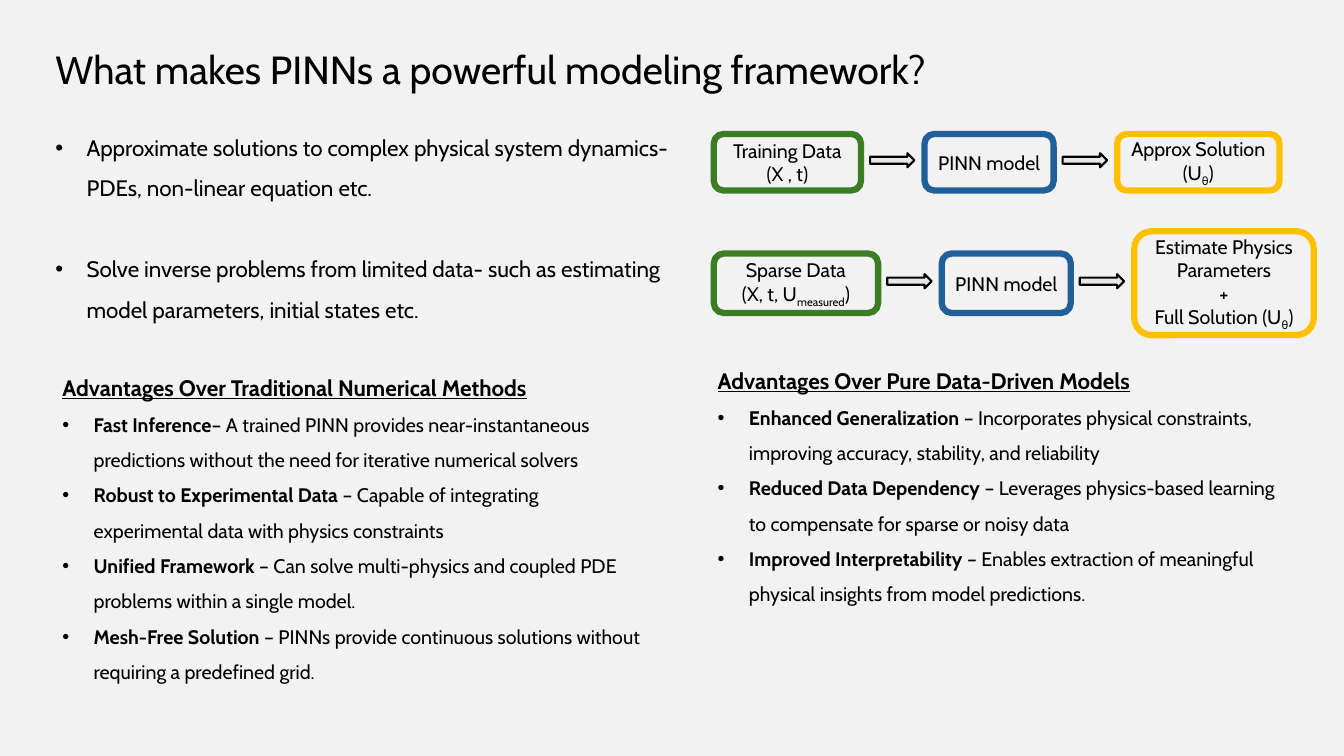
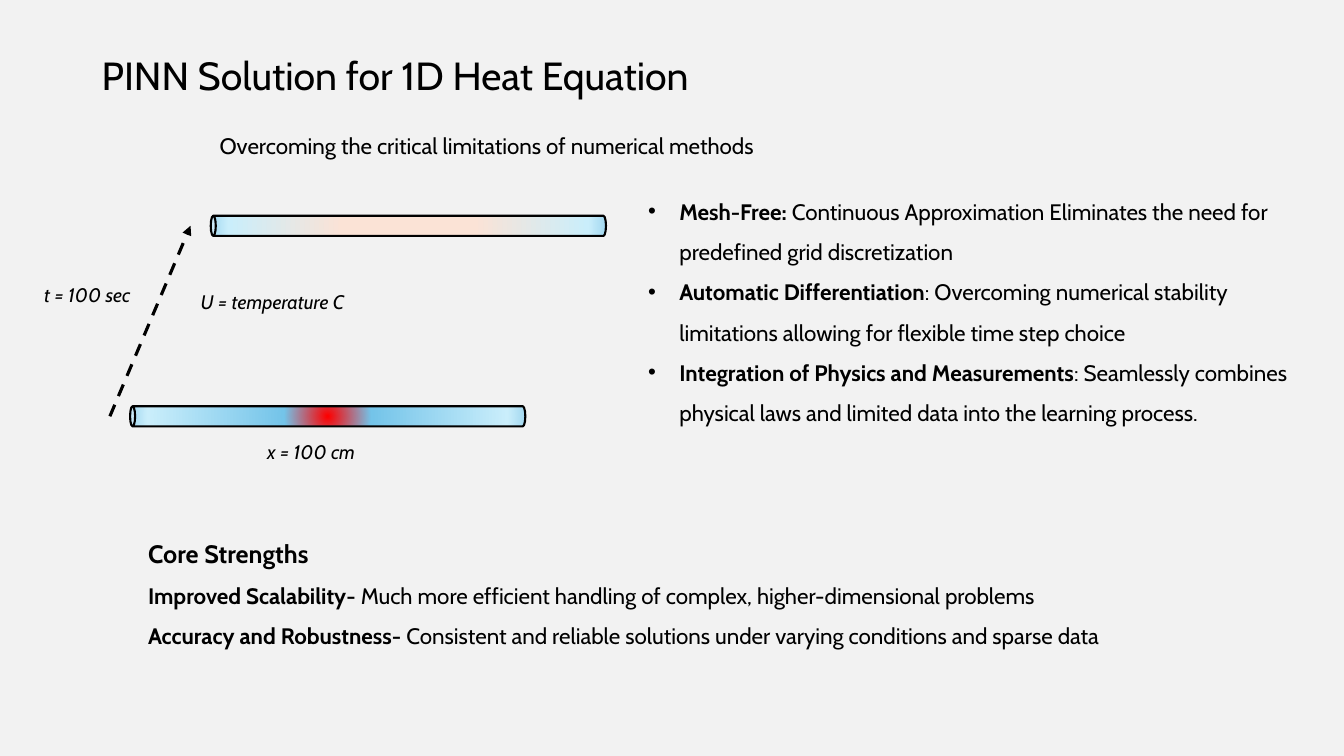
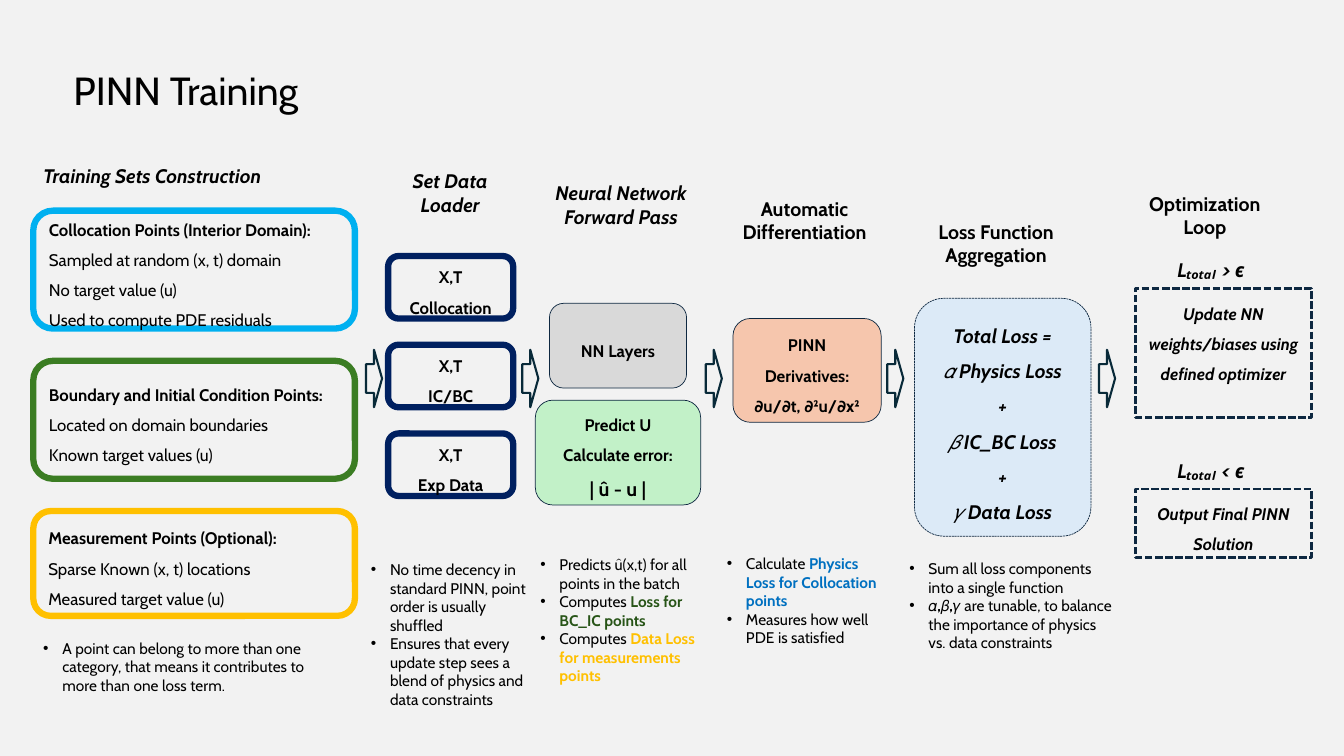
import pptx
import pptx.util
import pptx.dml.color
import pptx.enum.dml
import pptx.enum.shapes
import pptx.enum.text
import pptx.oxml
import pptx.oxml.ns
from lxml import etree

Inches = pptx.util.Inches
Pt = pptx.util.Pt
qn = pptx.oxml.ns.qn
SHAPES = pptx.enum.shapes.MSO_SHAPE
DASHES = pptx.enum.dml.MSO_LINE
ANCHORS = pptx.enum.text.MSO_ANCHOR
ALIGNS = {"l": pptx.enum.text.PP_ALIGN.LEFT, "c": pptx.enum.text.PP_ALIGN.CENTER}

# Shared look
FONT = "Cabin"
BACKGROUND, INK = "F2F2F2", "000000"
GREEN, BLUE, AMBER, NAVY = "3B7D23", "215F9A", "FFC000", "002060"
CYAN, OUTLINE = "00B0F0", "0E2841"
BOLD = {"bold": True}
BOLD_ITALIC = {"bold": True, "italic": True}
SUBSCRIPT = {"baseline": -25000}


def rgb(value):
    return pptx.dml.color.RGBColor.from_string(value)


# Text
def add_run(paragraph, text, color=INK, baseline=0, **font):
    run = paragraph.add_run()
    run.text = text
    for key, value in {"name": FONT, **font}.items():
        setattr(run.font, key, value)
    run.font.color.rgb = rgb(color)
    if baseline:
        run.font._element.set("baseline", str(baseline))


def write(frame, paragraphs, size, align="l", spacing=1.0, indent=0, gap=0, **font):
    """Append paragraphs; each is a string or a list of strings and (text, format) pairs."""
    for content in paragraphs:
        first = not frame.paragraphs[0].runs
        paragraph = frame.paragraphs[0] if first else frame.add_paragraph()
        layout = {"alignment": ALIGNS[align], "line_spacing": spacing,
                  "space_before": Pt(0 if first else gap)}
        for key, value in layout.items():
            setattr(paragraph, key, value)
        if indent:
            props = paragraph._p.get_or_add_pPr()
            props.set("marL", str(Inches(indent)))
            props.set("indent", str(-Inches(indent)))
            etree.SubElement(props, qn("a:buFont")).set("typeface", "Arial")
            etree.SubElement(props, qn("a:buChar")).set("char", "•")
        for part in [content] if isinstance(content, str) else content:
            text, extra = (part, {}) if isinstance(part, str) else part
            add_run(paragraph, text, **{"size": Pt(size), **font, **extra})


def text_box(slide, left, top, width, height, paragraphs, size, **style):
    frame = slide.shapes.add_textbox(*map(Inches, (left, top, width, height))).text_frame
    frame.word_wrap = True
    write(frame, paragraphs, size, **style)
    return frame


def title(slide, left, top, text):
    text_box(slide, left, top, 9.1, 0.57, [text], 28)


def lead(term, rest):
    return [(term, BOLD), rest]


# Shapes
def shape(slide, kind, left, top, width, height, line, weight, fill=None, dash=None):
    item = slide.shapes.add_shape(kind, *map(Inches, (left, top, width, height)))
    item.shadow.inherit = False
    if fill:
        item.fill.solid()
        item.fill.fore_color.rgb = rgb(fill)
    else:
        item.fill.background()
    item.line.color.rgb = rgb(line)
    item.line.width = Pt(weight)
    if dash:
        item.line.dash_style = dash
    return item


def card(slide, left, top, width, height, paragraphs, size=12, line=OUTLINE, weight=4.5,
         fill=None, dash=None, kind=SHAPES.ROUNDED_RECTANGLE, anchor=ANCHORS.MIDDLE, **style):
    frame = shape(slide, kind, left, top, width, height, line, weight, fill, dash).text_frame
    frame.word_wrap = True
    frame.vertical_anchor = anchor
    write(frame, paragraphs, size, **style)


# Slide 1: framework
def model_flow(slide, left, middle, steps):
    """A row of boxes centred on one height, joined by block arrows."""
    gap, arrow_width, arrow_height = 0.63, 0.44, 0.14
    for index, (width, height, color, label) in enumerate(steps):
        if index:
            shape(slide, SHAPES.RIGHT_ARROW, left - gap + 0.09, middle - 0.09,
                  arrow_width, arrow_height, INK, 1.5, "E8E8E8")
        card(slide, left, middle - height / 2, width, height, label, 14, color, align="c")
        left += width + gap


def advantages(slide, left, top, width, heading, points):
    frame = text_box(slide, left, top, width, 3.3, [heading], 16, spacing=1.5,
                     bold=True, underline=True)
    write(frame, points, 14, spacing=1.5, indent=0.31)


def framework_slide(slide):
    title(slide, 0.45, 0.4, "What makes PINNs a powerful modeling framework?")
    text_box(slide, 0.45, 1.15, 6.72, 2.08, [
        "Approximate solutions to complex physical system dynamics- PDEs, "
        "non-linear equation etc.",
        "Solve inverse problems from limited data- such as estimating model parameters, "
        "initial states etc.",
    ], 16, spacing=1.5, indent=0.31, gap=29)
    theta = [("θ", SUBSCRIPT), ")"]
    model_flow(slide, 7.08, 1.61, [
        (1.46, 0.56, GREEN, ["Training Data", "(X , t)"]),
        (1.28, 0.56, BLUE, ["PINN model"]),
        (1.61, 0.56, AMBER, [["Approx Solution (U", *theta]]),
    ])
    model_flow(slide, 7.08, 2.81, [
        (1.63, 0.59, GREEN, ["Sparse Data", ["(X, t, U", ("measured", SUBSCRIPT), ")"]]),
        (1.28, 0.59, BLUE, ["PINN model"]),
        (1.78, 1.03, AMBER, ["Estimate Physics Parameters", "+",
                             ["Full Solution (U", *theta]]),
    ])
    advantages(slide, 7.02, 3.46, 5.9, "Advantages Over Pure Data-Driven Models", [
        lead("Enhanced Generalization", " – Incorporates physical constraints, "
             "improving accuracy, stability, and reliability"),
        lead("Reduced Data Dependency", " – Leverages physics-based learning to "
             "compensate for sparse or noisy data"),
        lead("Improved Interpretability", " – Enables extraction of meaningful "
             "physical insights from model predictions."),
    ])
    advantages(slide, 0.52, 3.53, 6.01, "Advantages Over Traditional Numerical Methods", [
        lead("Fast Inference", "– A trained PINN provides near-instantaneous "
             "predictions without the need for iterative numerical solvers"),
        lead("Robust to Experimental Data", " – Capable of integrating experimental "
             "data with physics constraints"),
        lead("Unified Framework", " – Can solve multi-physics and coupled PDE "
             "problems within a single model."),
        lead("Mesh-Free Solution", " – PINNs provide continuous solutions without "
             "requiring a predefined grid."),
    ])


# Slide 2: heat equation
def heated_rod(slide, left, top, length, stops):
    """A horizontal can with a radial gradient given as (percent, colour) stops."""
    thickness = 0.2
    rod = shape(slide, SHAPES.CAN, left + (length - thickness) / 2,
                top - (length - thickness) / 2, thickness, length, INK, 1.5)
    rod.rotation = 270
    gradient = etree.Element(qn("a:gradFill"), rotWithShape="1")
    stop_list = etree.SubElement(gradient, qn("a:gsLst"))
    for percent, color in stops:
        stop = etree.SubElement(stop_list, qn("a:gs"), pos=str(percent * 1000))
        etree.SubElement(stop, qn("a:srgbClr"), val=color)
    radial = etree.SubElement(gradient, qn("a:path"), {"path": "circle"})
    etree.SubElement(radial, qn("a:fillToRect"), dict.fromkeys("ltrb", "50000"))
    props = rod._element.spPr
    props.replace(props.find(qn("a:noFill")), gradient)


def time_arrow(slide, start, end):
    arrow = slide.shapes.add_connector(pptx.enum.shapes.MSO_CONNECTOR.STRAIGHT,
                                       *map(Inches, start + end))
    arrow.line.color.rgb = rgb(INK)
    arrow.line.width = Pt(2.25)
    arrow.line.dash_style = DASHES.DASH
    etree.SubElement(arrow.line._get_or_add_ln(), qn("a:tailEnd"), type="triangle")
    etree.SubElement(arrow._element.spPr, qn("a:effectLst"))


def rod_diagram(slide, left, top):
    cool_ends = [(91, "CAEEFB"), (100, "A2D8F0")]
    heated_rod(slide, left + 0.95, top + 1.89, 3.92,
               [(0, "FF0000"), (22, "74C4E9"), *cool_ends])
    heated_rod(slide, left + 1.75, top, 3.92, [(33, "FBE3D6"), *cool_ends])
    time_arrow(slide, (left + 0.75, top + 1.99), (left + 1.55, top + 0.1))
    for dx, dy, label in [(2.21, 2.18, "x = 100 cm"), (0, 0.62, "t = 100 sec"),
                          (1.55, 0.69, "U = temperature C")]:
        text_box(slide, left + dx, top + dy, 1.82, 0.53, [label], 14, italic=True)


def heat_slide(slide):
    title(slide, 0.91, 0.46, "PINN Solution for 1D Heat Equation")
    text_box(slide, 2.08, 1.26, 5.7, 0.37,
             ["Overcoming the critical limitations of numerical methods"], 16)
    rod_diagram(slide, 0.34, 2.14)
    text_box(slide, 6.33, 1.78, 6.67, 2.89, [
        lead("Mesh-Free: ", "Continuous Approximation Eliminates the need for "
             "predefined grid discretization"),
        lead("Automatic Differentiation", ": Overcoming numerical stability limitations "
             "allowing for flexible time step choice"),
        lead("Integration of Physics and Measurements", ": Seamlessly combines physical "
             "laws and limited data into the learning process."),
    ], 16, spacing=1.5, indent=0.31)
    strengths = text_box(slide, 1.37, 5.14, 10.35, 1.32, ["Core Strengths"], 18,
                         spacing=1.5, bold=True)
    write(strengths, [
        lead("Improved Scalability-", " Much more efficient handling of complex, "
             "higher-dimensional problems"),
        lead("Accuracy and Robustness- ", "Consistent and reliable solutions under "
             "varying conditions and sparse data"),
    ], 16, spacing=1.5)


# Slide 3: training pipeline
def heading(slide, left, top, width, lines, **style):
    text_box(slide, left, top, width, 0.57, lines, 14, **{"align": "c", "bold": True, **style})


def notes_list(slide, left, top, width, points):
    text_box(slide, left, top, width, 1.03, points, 11, indent=0.19)


def training_sets(slide, left, top):
    heading(slide, left, top, 2.56, ["Training Sets Construction"], align="l", italic=True)
    sets = [
        (1.17, CYAN, "Collocation Points (Interior Domain):",
         ["Sampled at random (x, t) domain", "No target value (u)",
          "Used to compute PDE residuals"]),
        (1.17, GREEN, "Boundary and Initial Condition Points:",
         ["Located on domain boundaries", "Known target values (u)"]),
        (1.04, AMBER, "Measurement Points (Optional):",
         ["Sparse Known (x, t) locations", "Measured target value (u)"]),
    ]
    for row, (height, color, name, facts) in enumerate(sets):
        card(slide, left, top + 0.51 + 1.49 * row, 3.19, height,
             [[(name, BOLD)], *facts], line=color, spacing=1.5)
    notes_list(slide, left, top + 4.71, 2.99, [
        "A point can belong to more than one category, that means it contributes to "
        "more than one loss term."])


def data_loader(slide, left, top):
    heading(slide, left, top, 1.41, ["Set Data Loader"], italic=True)
    for row, source in enumerate(["Collocation", "IC/BC", "Exp Data"]):
        card(slide, left + 0.09, top + 0.91 + 0.88 * row, 1.24, 0.62, ["X,T", source],
             line=NAVY, align="c", spacing=1.5, bold=True)
    notes_list(slide, left - 0.18, top + 3.88, 1.77, [
        "No time decency in standard PINN, point order is usually shuffled",
        "Ensures that every update step sees a blend of physics and data constraints"])


def filled_card(slide, left, top, width, height, lines, fill, size=12, **style):
    card(slide, left, top, width, height, lines, size, weight=0.5, fill=fill,
         align="c", spacing=1.5, bold=True, **style)


def forward_pass(slide, left, top):
    heading(slide, left, top, 1.64, ["Neural Network", "Forward Pass"], italic=True)
    filled_card(slide, left + 0.11, top + 1.26, 1.36, 0.84, ["NN Layers"], "D9D9D9")
    filled_card(slide, left - 0.03, top + 2.22, 1.64, 1.04,
                ["Predict U", "Calculate error:", [("| û - u |", {"size": Pt(14)})]], "C2F1C8")
    notes_list(slide, left - 0.08, top + 3.71, 1.75, [
        "Predicts û(x,t) for all points in the batch",
        ["Computes ", ("Loss for BC_IC points", {"color": "275417", **BOLD})],
        ["Computes ", ("Data Loss for measurements points", {"color": AMBER, **BOLD})]])


def differentiation(slide, left, top):
    heading(slide, left, top, 1.64, ["Automatic Differentiation"])
    filled_card(slide, left + 0.11, top + 1.26, 1.47, 1.03,
                ["PINN", "Derivatives:", "∂u/∂t, ∂²u/∂x²"], "F6C6AD")
    notes_list(slide, left - 0.05, top + 3.55, 1.75, [
        ["Calculate ", ("Physics Loss for Collocation points", {"color": "0070C0", **BOLD})],
        "Measures how well PDE is satisfied"])


def loss_aggregation(slide, left, top):
    heading(slide, left, top, 1.64, ["Loss Function Aggregation"])
    filled_card(slide, left + 0.01, top + 0.83, 1.75, 2.36,
                ["Total Loss =", "𝛼 Physics Loss", "+", "𝛽 IC_BC Loss", "+", "𝛾 Data Loss"],
                "DCEAF7", 14, italic=True, dash=DASHES.SQUARE_DOT, anchor=ANCHORS.TOP)
    notes_list(slide, left - 0.14, top + 3.37, 2.25, [
        "Sum all loss components into a single function",
        lead("𝛼,𝛽,𝛾", " are tunable, to balance the importance of physics vs. "
             "data constraints")])


def optimization_loop(slide, left, top):
    heading(slide, left, top, 1.64, ["Optimization Loop"])
    outcomes = [
        (0.66, "Lₜₒₜₐₗ > ϵ", 1.28, "Update NN weights/biases using defined optimizer"),
        (2.65, "Lₜₒₜₐₗ < ϵ", 0.68, "Output Final PINN Solution"),
    ]
    for dy, condition, height, action in outcomes:
        text_box(slide, left + 0.45, top + dy, 0.98, 0.34, [condition], 14, **BOLD_ITALIC)
        card(slide, left + 0.13, top + dy + 0.35, 1.75, height, [action], weight=1.8,
             dash=DASHES.SQUARE_DOT, kind=SHAPES.RECTANGLE, anchor=ANCHORS.TOP,
             align="c", spacing=1.5, **BOLD_ITALIC)


def training_slide(slide):
    title(slide, 0.63, 0.61, "PINN Training")
    training_sets(slide, 0.33, 1.58)
    data_loader(slide, 3.76, 1.63)
    forward_pass(slide, 5.34, 1.75)
    differentiation(slide, 7.16, 1.9)
    loss_aggregation(slide, 9.06, 2.13)
    optimization_loop(slide, 11.13, 1.85)
    for arrow_left in (3.63, 5.18, 7, 8.8, 10.9):
        shape(slide, SHAPES.RIGHT_ARROW, arrow_left, 3.47, 0.16, 0.57,
              "092A39", 1.5, BACKGROUND)


def main():
    deck = pptx.Presentation()
    deck.slide_width, deck.slide_height = Inches(13.33), Inches(7.5)
    backdrop = deck.slide_master.background.fill
    backdrop.solid()
    backdrop.fore_color.rgb = rgb(BACKGROUND)
    for build in (framework_slide, heat_slide, training_slide):
        build(deck.slides.add_slide(deck.slide_layouts[6]))
    deck.save("out.pptx")


if __name__ == "__main__":
    main()
